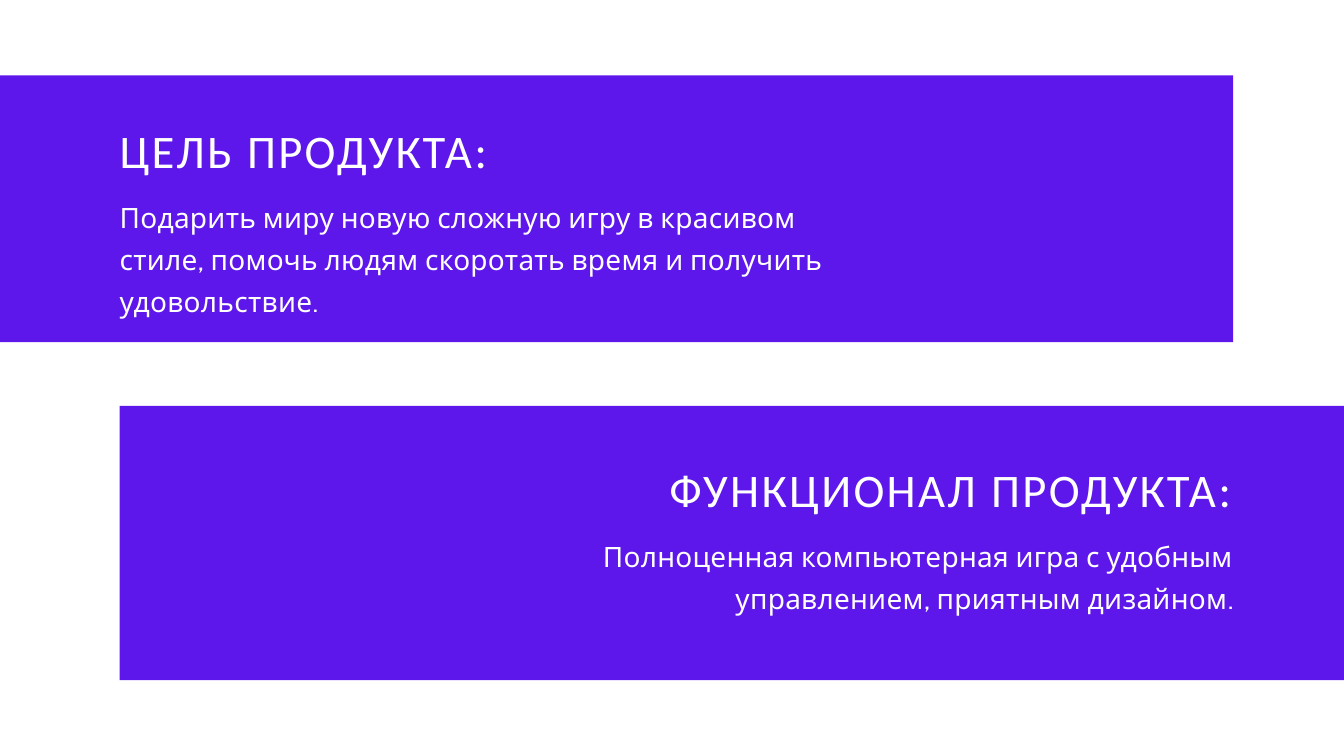
from pptx import Presentation
from pptx.dml.color import RGBColor
from pptx.enum.shapes import MSO_SHAPE
from pptx.enum.text import MSO_AUTO_SIZE, PP_ALIGN
from pptx.util import Inches, Pt

COLORS = {"band": "5E17EB", "text": "FFFFFF"}
WIDTH, HEIGHT = Inches(20), Inches(11.25)
COL, ROW = WIDTH / 100, HEIGHT / 100  # grid of 100 columns by 100 rows

# Font, size, line spacing and letter spacing (hundredths of a point)
TITLE = ("Calibri", 50, 70, 250)
BODY = ("Cabin", 30, 45, 30)
TITLE_ROWS, BODY_OFFSET = 8.18, 10.58


def place(x, y, w, h):
    return [round(v) for v in (x * COL, y * ROW, w * COL, h * ROW)]


def add_text(shapes, box, text, style, align):
    font, size, line, spacing = style
    tf = shapes.add_textbox(*place(*box)).text_frame
    tf.word_wrap = True
    tf.auto_size = MSO_AUTO_SIZE.SHAPE_TO_FIT_TEXT
    tf.margin_left = tf.margin_top = tf.margin_right = tf.margin_bottom = 0
    tf.text = text
    p = tf.paragraphs[0]
    p.alignment = align
    p.line_spacing = Pt(line)
    r = p.runs[0]
    r.font.name = font
    r.font.size = Pt(size)
    r.font.color.rgb = RGBColor.from_string(COLORS["text"])
    r.font._element.set("spc", str(spacing))


def add_band(s, box):
    sp = s.shapes.add_shape(MSO_SHAPE.RECTANGLE, *place(*box))
    sp.shadow.inherit = False
    sp.fill.solid()
    sp.fill.fore_color.rgb = RGBColor.from_string(COLORS["band"])
    sp.line.fill.background()


def add_statement(s, box, title, body, align):
    x, y, w, h = box
    shapes = s.shapes.add_group_shape().shapes
    add_text(shapes, (x, y, w - 0.15, TITLE_ROWS), title, TITLE, align)
    add_text(shapes, (x, y + BODY_OFFSET, w, h - BODY_OFFSET), body, BODY, align)


def main():
    prs = Presentation()
    prs.slide_width, prs.slide_height = WIDTH, HEIGHT
    s = prs.slides.add_slide(prs.slide_layouts[6])

    # Bands running off the left and right edges
    add_band(s, (-2.65, 9.96, 94.4, 35.29))
    add_band(s, (8.9, 53.69, 96.25, 36.27))

    # Product function, then product goal
    add_statement(s, (36.9, 59.73, 54.9, 21.34), "ФУНКЦИОНАЛ ПРОДУКТА:",
                  "Полноценная компьютерная игра с удобным управлением, "
                  "приятным дизайном.", PP_ALIGN.RIGHT)
    add_statement(s, (8.9, 14.84, 52.4, 27.38), "ЦЕЛЬ ПРОДУКТА:",
                  "Подарить миру новую сложную игру в красивом стиле, помочь "
                  "людям скоротать время и получить удовольствие.", PP_ALIGN.LEFT)

    prs.save("out.pptx")


if __name__ == "__main__":
    main()
